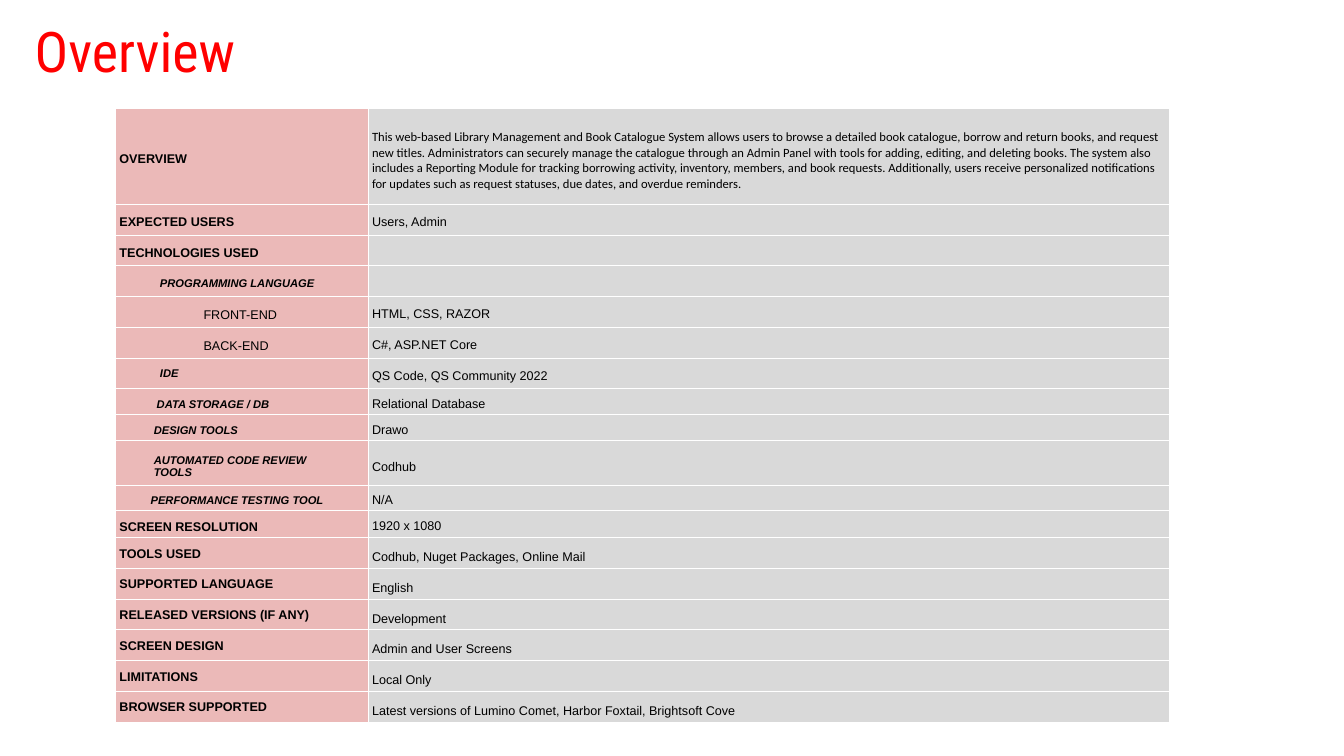
from pptx import Presentation
from pptx.dml.color import RGBColor
from pptx.enum.text import MSO_ANCHOR, MSO_AUTO_SIZE, PP_ALIGN
from pptx.oxml import parse_xml
from pptx.oxml.ns import nsdecls
from pptx.util import Cm, Pt

COLORS = {"title": "FF0000", "text": "000000", "label": "EBB9B8",
          "value": "D9D9D9", "border": "FFFFFF"}

SUMMARY = (
    "This web-based Library Management and Book Catalogue System allows users to browse a "
    "detailed book catalogue, borrow and return books, and request new titles. Administrators "
    "can securely manage the catalogue through an Admin Panel with tools for adding, editing, "
    "and deleting books. The system also includes a Reporting Module for tracking borrowing "
    "activity, inventory, members, and book requests. Additionally, users receive personalized "
    "notifications for updates such as request statuses, due dates, and overdue reminders.")

# Label, value, label style, label indent (cm), row height (cm)
ROWS = [
    ("OVERVIEW", SUMMARY, "head", 0, 4.83),
    ("EXPECTED USERS", "Users, Admin", "head", 0, 1.55),
    ("TECHNOLOGIES USED", "", "head", 0, 1.55),
    ("PROGRAMMING LANGUAGE", "", "sub", 2.04, 1.55),
    ("FRONT-END", "HTML, CSS, RAZOR", "plain", 4.24, 1.55),
    ("BACK-END", "C#, ASP.NET Core", "plain", 4.24, 1.55),
    ("IDE", "QS Code, QS Community 2022", "sub", 2.04, 1.55),
    ("DATA STORAGE / DB", "Relational Database", "sub", 1.88, 1.3),
    ("DESIGN TOOLS", "Drawo", "sub", 1.73, 1.3),
    ("AUTOMATED CODE REVIEW\nTOOLS", "Codhub", "sub", 1.73, 2.24),
    ("PERFORMANCE TESTING TOOL", "N/A", "sub", 1.57, 1.3),
    ("SCREEN RESOLUTION", "1920 x 1080", "head", 0, 1.35),
    ("TOOLS USED", "Codhub, Nuget Packages, Online Mail", "head", 0, 1.55),
    ("SUPPORTED LANGUAGE", "English", "head", 0, 1.55),
    ("RELEASED VERSIONS (IF ANY)", "Development", "head", 0, 1.55),
    ("SCREEN DESIGN", "Admin and User Screens", "head", 0, 1.55),
    ("LIMITATIONS", "Local Only", "head", 0, 1.55),
    ("BROWSER SUPPORTED", "Latest versions of Lumino Comet, Harbor Foxtail, Brightsoft Cove",
     "head", 0, 1.55),
]
STYLES = {"head": {"bold": True}, "sub": {"size": 16, "bold": True, "italic": True}, "plain": {}}
COL_WIDTHS = (12.73, 40.36)
TIGHT = 0.62
WRAPPED_ROWS = (0, 9)   # values with normal line spacing
LABELS_TOP = 6          # first row whose label sits at the top
VALUES_TOP = 10         # first row whose value sits at the top
JUSTIFIED = 12          # first row whose value is justified


def write(tf, text, size=18, font="Arial", color="text", bold=False, italic=False,
          align=PP_ALIGN.LEFT, spacing=None, indent=0):
    tf.text = text
    for p in tf.paragraphs:
        p.alignment = align
        if spacing:
            p.line_spacing = spacing
        if indent:
            pPr = p._p.get_or_add_pPr()
            pPr.set("marL", str(Cm(indent)))
            pPr.set("indent", "0")
        for r in p.runs:
            r.font.name, r.font.size = font, Pt(size)
            r.font.bold, r.font.italic = bold, italic
            r.font.color.rgb = RGBColor.from_string(COLORS[color])
        if not p.runs:  # keep an empty cell from stretching its row
            p._p.append(parse_xml(f'<a:endParaRPr {nsdecls("a")} sz="1200"/>'))


def format_cell(cell, fill, top, middle):
    cell.margin_left = cell.margin_right = cell.margin_bottom = Cm(0.2)
    cell.margin_top = Cm(top)
    cell.vertical_anchor = MSO_ANCHOR.MIDDLE if middle else MSO_ANCHOR.TOP
    tcPr = cell._tc.get_or_add_tcPr()
    for side in ("lnL", "lnR", "lnT", "lnB"):
        tcPr.append(parse_xml(
            f'<a:{side} {nsdecls("a")} w="{Pt(0.75)}"><a:solidFill>'
            f'<a:srgbClr val="{COLORS["border"]}"/></a:solidFill></a:{side}>'))
    cell.fill.solid()
    cell.fill.fore_color.rgb = RGBColor.from_string(COLORS[fill])


prs = Presentation()
prs.slide_width, prs.slide_height = Cm(67.74), Cm(38.1)
s = prs.slides.add_slide(prs.slide_layouts[5])

# Title
title = s.shapes.title
title.left, title.top, title.width, title.height = Cm(1.47), Cm(0), Cm(24.16), Cm(5.05)
tf = title.text_frame
tf.auto_size = MSO_AUTO_SIZE.NONE
tf.vertical_anchor = MSO_ANCHOR.MIDDLE
tf.margin_left = tf.margin_right = tf.margin_top = tf.margin_bottom = Cm(0.28)
write(tf, "Overview", size=80, font="Roboto Condensed", color="title")

# Project table
table = s.shapes.add_table(len(ROWS), 2, Cm(5.82), Cm(5.46), Cm(sum(COL_WIDTHS)),
                           Cm(sum(row[-1] for row in ROWS))).table
for column, width in zip(table.columns, COL_WIDTHS):
    column.width = Cm(width)
for i, (label, value, style, indent, height) in enumerate(ROWS):
    table.rows[i].height = Cm(height)
    label_cell, value_cell = table.cell(i, 0), table.cell(i, 1)
    format_cell(label_cell, "label", 0.64 if i < 4 else 0.69, i < LABELS_TOP)
    write(label_cell.text_frame, label, indent=indent,
          spacing=None if "\n" in label else TIGHT, **STYLES[style])
    format_cell(value_cell, "value", 0.64, i < VALUES_TOP)
    justified = i >= JUSTIFIED
    write(value_cell.text_frame, value, font="Calibri" if value == SUMMARY else "Arial",
          align=PP_ALIGN.JUSTIFY if justified else PP_ALIGN.LEFT,
          spacing=None if justified or i in WRAPPED_ROWS else TIGHT)

prs.save("out.pptx")
